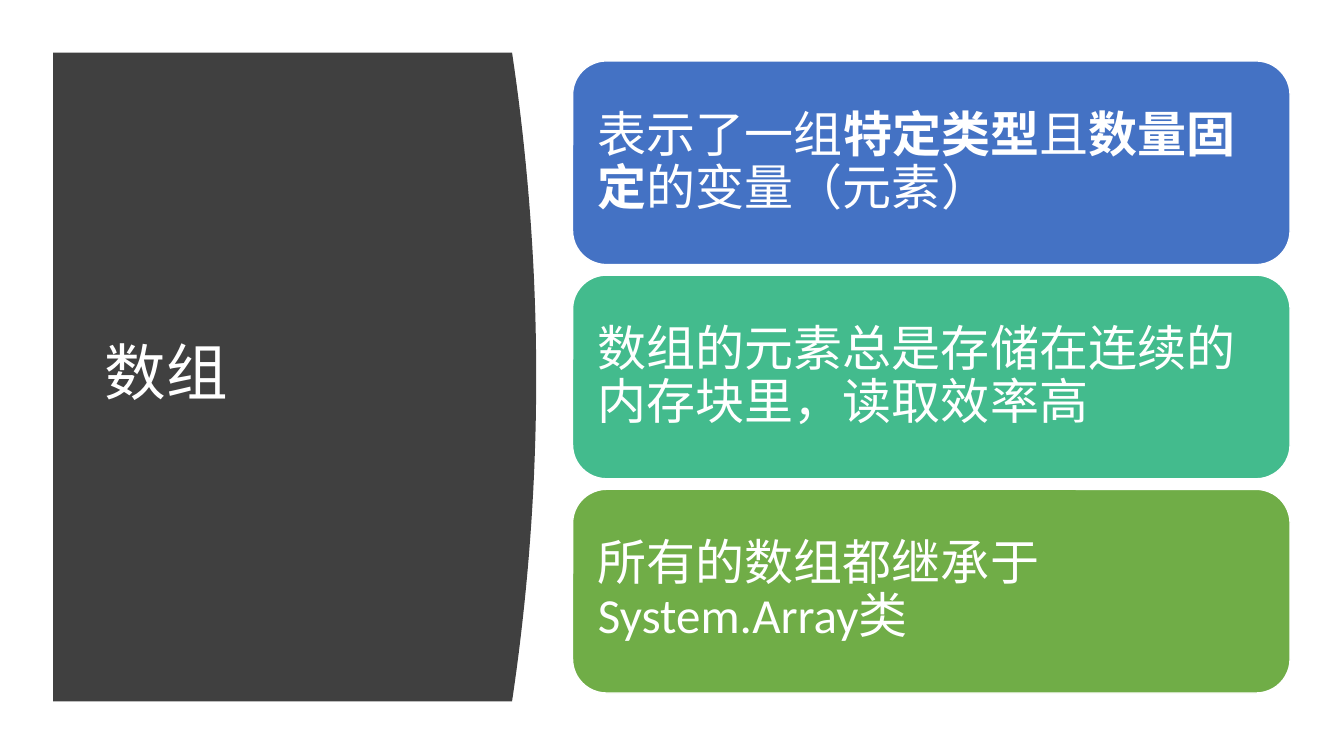
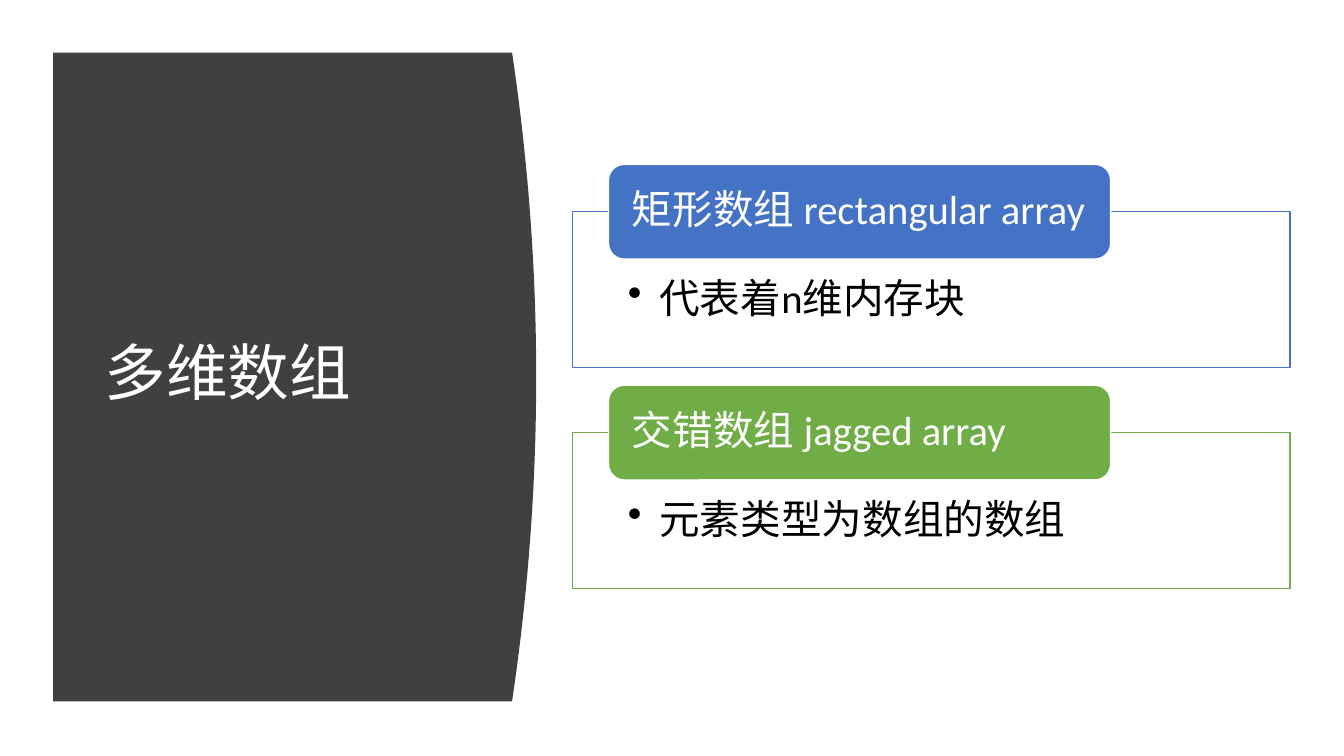
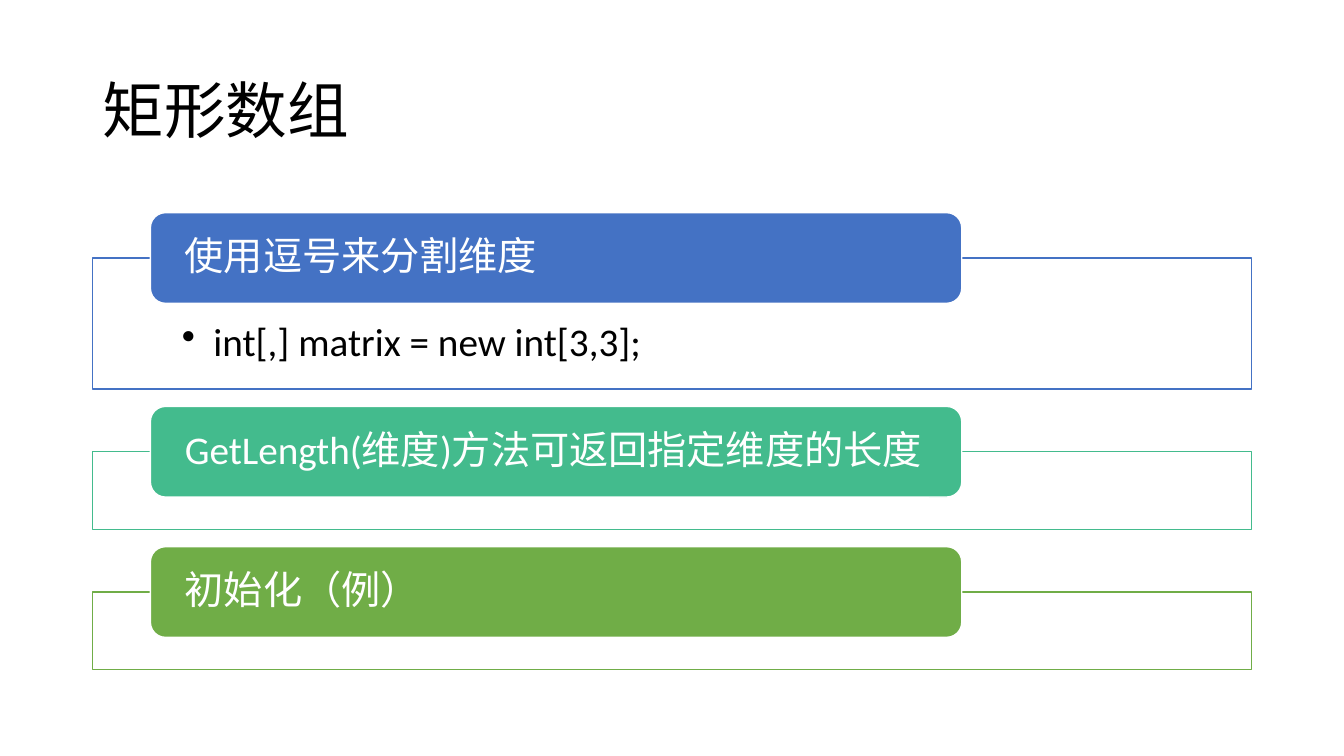
import pptx
import pptx.util
import pptx.dml.color
import pptx.enum.lang
import pptx.enum.shapes
import pptx.enum.text
import pptx.oxml
import pptx.oxml.ns

Pt = pptx.util.Pt
RGB = pptx.dml.color.RGBColor
SHAPE = pptx.enum.shapes.MSO_SHAPE
ANCHOR = pptx.enum.text.MSO_ANCHOR
qn = pptx.oxml.ns.qn

WHITE = RGB(0xFF, 0xFF, 0xFF)
BLACK = RGB(0, 0, 0)
DARK = RGB(0x40, 0x40, 0x40)
BLUE = RGB(0x44, 0x72, 0xC4)
TEAL = RGB(0x43, 0xBB, 0x8D)
GREEN = RGB(0x70, 0xAD, 0x47)
HEAD, BODY = "Quicksand", "Calibri"


def write(shape, runs, size, face, color, anchor=ANCHOR.MIDDLE, pad=(7.2, 3.6), bullet=False):
    """Fill a shape with one left-aligned paragraph of (text, bold) runs."""
    frame = shape.text_frame
    frame.word_wrap = True
    frame.auto_size = pptx.enum.text.MSO_AUTO_SIZE.NONE
    frame.vertical_anchor = anchor
    frame.margin_left = frame.margin_right = Pt(pad[0])
    frame.margin_top = frame.margin_bottom = Pt(pad[1])
    para = frame.paragraphs[0]
    para.alignment = pptx.enum.text.PP_ALIGN.LEFT
    para.line_spacing = 0.9
    if bullet:
        frame.margin_bottom = Pt(16)
        props = para._p.get_or_add_pPr()
        props.set("marL", str(Pt(22.5)))
        props.set("indent", str(-Pt(22.5)))
        mark = pptx.oxml.parse_xml(
            '<a:buChar xmlns:a="http://schemas.openxmlformats.org/drawingml/2006/main" char="•"/>')
        props.append(mark)
    for text, bold in runs:
        run = para.add_run()
        run.text = text
        run.font.name = face
        run.font.size = Pt(size)
        run.font.bold = bold
        run.font.color.rgb = color
        run.font.language_id = pptx.enum.lang.MSO_LANGUAGE_ID.SIMPLIFIED_CHINESE


def block(slide, kind, left, top, width, height, fill, line):
    """Add a filled, outlined shape without a shadow."""
    shape = slide.shapes.add_shape(kind, Pt(left), Pt(top), Pt(width), Pt(height))
    shape.shadow.inherit = False
    shape.fill.solid()
    shape.fill.fore_color.rgb = fill
    shape.line.color.rgb = line
    shape.line.width = Pt(1)
    return shape


deck = pptx.Presentation()
deck.slide_width, deck.slide_height = Pt(960), Pt(540)

# Titles, and the curved dark panel behind the first two
slides = []
for text, panel in (("数组", True), ("多维数组", True), ("矩形数组", False)):
    slide = deck.slides.add_slide(deck.slide_layouts[5])
    title = slide.shapes.title
    box = (67.5, 80, 269.5, 377) if panel else (66, 28.75, 828, 104.5)
    title.left, title.top, title.width, title.height = map(Pt, box)
    write(title, [(text, False)], 44, HEAD, WHITE if panel else BLACK)
    if panel:
        left, edge, bulge, top, bottom = 38, 365.75, 17.25, 37.5, 501
        steps = 40
        curve = []
        for i in range(steps + 1):
            t = i / steps
            x = edge + bulge * (1 - (2 * t - 1) ** 2)
            curve.append((Pt(x), Pt(top + t * (bottom - top))))
        path = slide.shapes.build_freeform(Pt(left), Pt(top))
        path.add_line_segments(curve + [(Pt(left), Pt(bottom))], close=True)
        back = path.convert_to_shape()
        back.shadow.inherit = False
        back.fill.solid()
        back.fill.fore_color.rgb = DARK
        back.line.fill.background()
        slide.shapes._spTree.insert(2, back._element)
    slides.append(slide)

# Slide 1: three stacked cards
cards = [
    (BLUE, [("表示了一组", False), ("特定类型", True), ("且", False),
            ("数量固定", True), ("的变量（元素）", False)]),
    (TEAL, [("数组的元素总是存储在连续的内存块里，读取效率高", False)]),
    (GREEN, [("所有的数组都继承于System.Array类", False)]),
]
for i, (color, runs) in enumerate(cards):
    card = block(slides[0], SHAPE.ROUNDED_RECTANGLE, 409, 43.5 + 153 * i, 512.5, 145.5, color, WHITE)
    write(card, runs, 35, BODY, WHITE, pad=(11, 11))

# Slides 2 and 3: outlined frames, each with a tag centred on its top edge
# slide, left, width, first tag top, tag height, text size, tag pad, frame pad, rows
groups = [
    (slides[1], 409, 512.5, 117.4, 67.7, 29, 13.5, (39.5, 47.5), [
        (BLUE, "矩形数组 rectangular array", "代表着n维内存块", 111.5),
        (GREEN, "交错数组 jagged array", "元素类型为数组的数组", 111.5)]),
    (slides[2], 66, 828, 151.9, 64.8, 28, 21.5, (64, 46), [
        (BLUE, "使用逗号来分割维度", "int[,] matrix = new int[3,3];", 93.6),
        (TEAL, "GetLength(维度)方法可返回指定维度的长度", None, 55.4),
        (GREEN, "初始化（例）", None, 55.4)]),
]
for slide, left, width, top, high, size, inset, pad, rows in groups:
    for color, label, item, depth in rows:
        edge = top + high / 2
        frame = block(slide, SHAPE.RECTANGLE, left, edge, width, depth, WHITE, color)
        tint = frame._element.spPr.find(".//" + qn("a:srgbClr"))
        alpha = tint.makeelement(qn("a:alpha"), {"val": "90000"})
        tint.append(alpha)
        if item:
            write(frame, [(item, False)], size, BODY, BLACK, ANCHOR.TOP, pad, bullet=True)
        tag = block(slide, SHAPE.ROUNDED_RECTANGLE, left + 0.05 * width, top,
                    0.7 * width, high, color, WHITE)
        write(tag, [(label, False)], size, BODY, WHITE, pad=(inset, 0))
        top = edge + depth + 12.4

deck.save("out.pptx")
